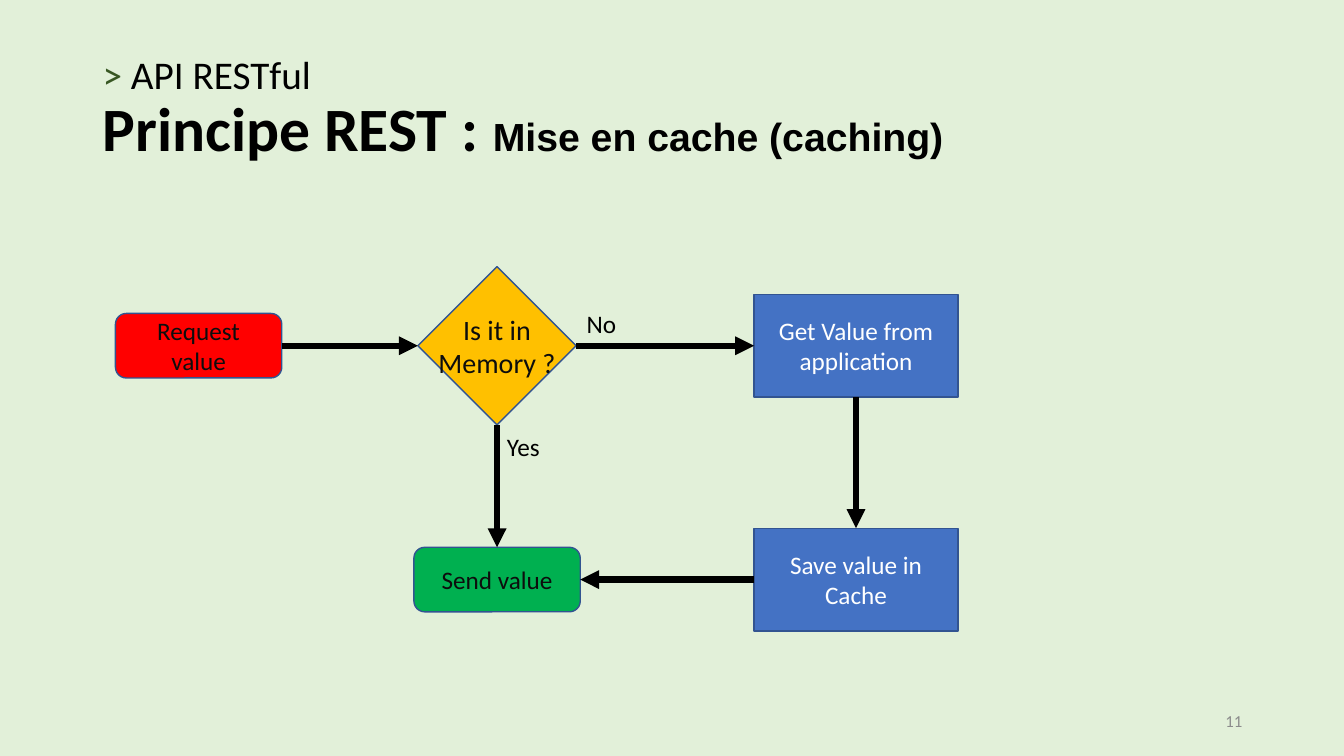
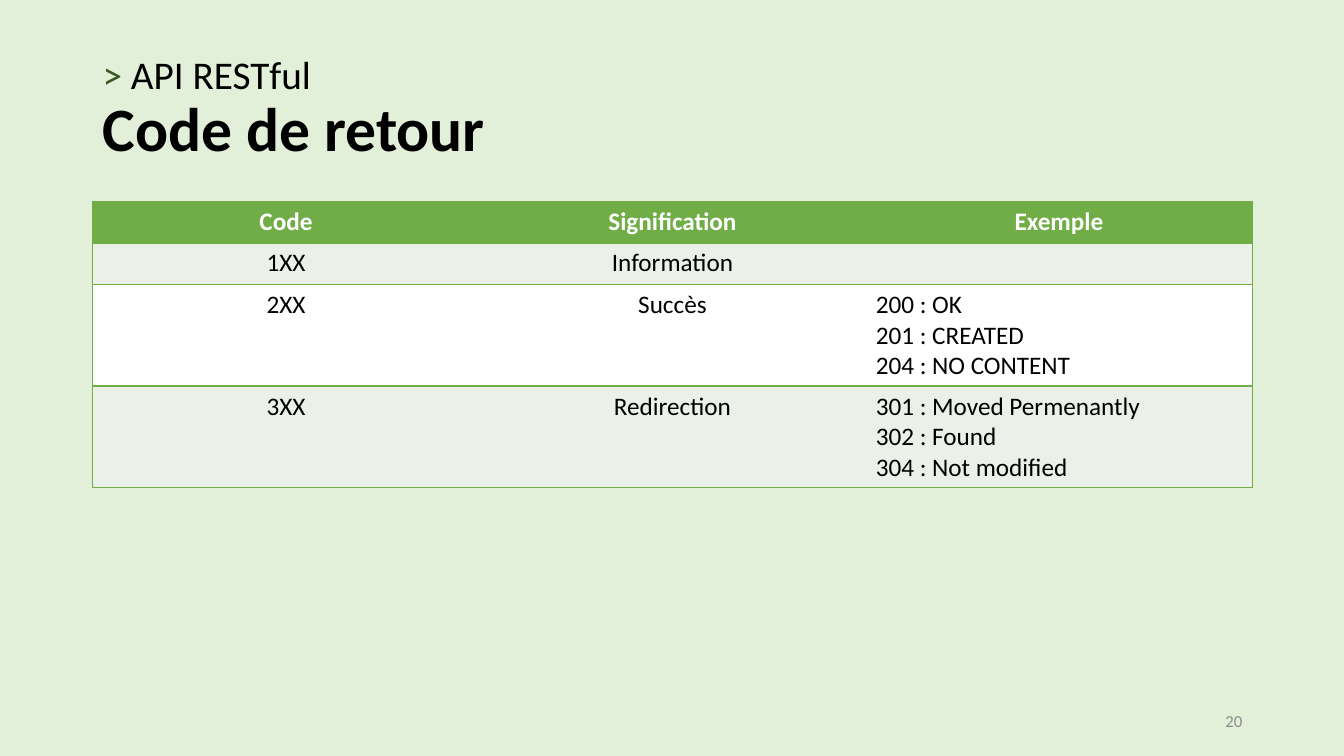
from dataclasses import dataclass

from lxml import etree
from pptx import Presentation
from pptx.dml.color import RGBColor
from pptx.enum.shapes import MSO_CONNECTOR, MSO_SHAPE
from pptx.enum.text import MSO_ANCHOR, PP_ALIGN
from pptx.oxml.ns import qn
from pptx.util import Inches, Pt

RECT = MSO_SHAPE.RECTANGLE
ROUNDED = MSO_SHAPE.ROUNDED_RECTANGLE
DIAMOND = MSO_SHAPE.DIAMOND
STRAIGHT = MSO_CONNECTOR.STRAIGHT
LEFT, CENTER, RIGHT = PP_ALIGN.LEFT, PP_ALIGN.CENTER, PP_ALIGN.RIGHT
TOP, MIDDLE = MSO_ANCHOR.TOP, MSO_ANCHOR.MIDDLE
TOP_SITE, LEFT_SITE, BOTTOM_SITE, RIGHT_SITE = range(4)
PLAIN_TABLE_STYLE = "{2D5ABB26-0587-4C30-8999-92F81FD0307C}"


@dataclass(frozen=True)
class Theme:
    font: str = "Calibri"
    subtitle_font: str = "Arial"
    background: RGBColor = RGBColor(0xE2, 0xF0, 0xD9)
    black: RGBColor = RGBColor(0x00, 0x00, 0x00)
    white: RGBColor = RGBColor(0xFF, 0xFF, 0xFF)
    dark_text: RGBColor = RGBColor(0x0D, 0x0D, 0x0D)
    chevron: RGBColor = RGBColor(0x38, 0x57, 0x23)
    muted: RGBColor = RGBColor(0x8C, 0x8C, 0x8C)
    outline: RGBColor = RGBColor(0x32, 0x54, 0x91)
    red: RGBColor = RGBColor(0xFF, 0x00, 0x00)
    amber: RGBColor = RGBColor(0xFF, 0xC0, 0x00)
    green: RGBColor = RGBColor(0x00, 0xB0, 0x50)
    blue: RGBColor = RGBColor(0x44, 0x72, 0xC4)
    table_green: RGBColor = RGBColor(0x70, 0xAD, 0x47)
    table_band: RGBColor = RGBColor(0xEB, 0xF1, 0xE9)
    title_size: int = 44
    kicker_size: int = 28
    decision_size: int = 20
    body_size: int = 18
    footer_size: int = 12


theme = Theme()


def style(font, size, color, bold=False, name=theme.font):
    font.name = name
    font.size = Pt(size)
    font.bold = bold
    font.color.rgb = color


def write(frame, lines, size, color, align=LEFT, anchor=TOP, bold=False):
    frame.word_wrap = True
    frame.vertical_anchor = anchor
    frame.text = "\n".join(lines)
    for para in frame.paragraphs:
        para.alignment = align
        style(para.font, size, color, bold)


deck = Presentation()
deck.slide_width = Inches(13.33)
deck.slide_height = Inches(7.5)

headings = [
    ("11", "Principe REST : ", "Mise en cache (caching)"),
    ("20", "Code de retour", ""),
]
pages = []
for number, heading, subtitle in headings:
    page = deck.slides.add_slide(deck.slide_layouts[6])
    page.background.fill.solid()
    page.background.fill.fore_color.rgb = theme.background

    title = page.shapes.add_textbox(Inches(0.92), Inches(0.37), Inches(11.5), Inches(1.45))
    title.text_frame.word_wrap = True
    title.text_frame.vertical_anchor = MIDDLE
    para = title.text_frame.paragraphs[0]
    para.line_spacing = 0.9
    title_spans = [
        (">", theme.kicker_size, theme.chevron, False, theme.font),
        (" API RESTful", theme.kicker_size, theme.black, False, theme.font),
        (heading, theme.title_size, theme.black, True, theme.font),
        (subtitle, theme.kicker_size, theme.black, True, theme.subtitle_font),
    ]
    for text, size, color, bold, font_name in title_spans:
        if text == heading:
            para.add_line_break()
        if text:
            span = para.add_run()
            span.text = text
            style(span.font, size, color, bold, font_name)

    footer = page.shapes.add_textbox(Inches(9.42), Inches(6.95), Inches(3), Inches(0.4))
    write(footer.text_frame, [number], theme.footer_size, theme.muted, RIGHT, MIDDLE)
    pages.append(page)

flow_page, table_page = pages

request_x, decision_x, action_x = 1.97, 4.93, 8.49
upper_y, lower_y = 3.43, 5.75
terminal_size, decision_box, action_size = (1.65, 0.64), (1.57, 1.57), (2.02, 1.02)
nodes = [
    ("request", ROUNDED, request_x, upper_y, terminal_size, theme.red, ["Request value"]),
    ("decision", DIAMOND, decision_x, upper_y, decision_box, theme.amber, ["Is it in", "Memory ?"]),
    ("send", ROUNDED, decision_x, lower_y, terminal_size, theme.green, ["Send value"]),
    ("get", RECT, action_x, upper_y, action_size, theme.blue, ["Get Value from application"]),
    ("save", RECT, action_x, lower_y, action_size, theme.blue, ["Save value in Cache"]),
]
boxes = {}
for key, kind, center_x, center_y, (width, height), fill, lines in nodes:
    left, top = center_x - width / 2, center_y - height / 2
    box = flow_page.shapes.add_shape(kind, Inches(left), Inches(top), Inches(width), Inches(height))
    box.shadow.inherit = False
    box.fill.solid()
    box.fill.fore_color.rgb = fill
    box.line.color.rgb = theme.outline
    box.line.width = Pt(1)
    size = theme.decision_size if kind == DIAMOND else theme.body_size
    color = theme.white if kind == RECT else theme.dark_text
    write(box.text_frame, lines, size, color, CENTER, MIDDLE)
    box.text_frame.word_wrap = kind != DIAMOND
    boxes[key] = box

arrows = [
    ("request", RIGHT_SITE, "decision", LEFT_SITE),
    ("decision", RIGHT_SITE, "get", LEFT_SITE),
    ("decision", BOTTOM_SITE, "send", TOP_SITE),
    ("get", BOTTOM_SITE, "save", TOP_SITE),
    ("save", LEFT_SITE, "send", RIGHT_SITE),
]
for start, start_site, end, end_site in arrows:
    arrow = flow_page.shapes.add_connector(STRAIGHT, 0, 0, 0, 0)
    arrow.begin_connect(boxes[start], start_site)
    arrow.end_connect(boxes[end], end_site)
    arrow.line.color.rgb = theme.black
    arrow.line.width = Pt(4.5)
    properties = arrow.element.spPr
    etree.SubElement(properties.find(qn("a:ln")), qn("a:tailEnd"), type="triangle")
    etree.SubElement(properties, qn("a:effectLst"))

for text, left, top in [("Yes", 4.93, 4.23), ("No", 5.72, 3.01)]:
    label = flow_page.shapes.add_textbox(Inches(left), Inches(top), Inches(0.85), Inches(0.4))
    write(label.text_frame, [text], theme.body_size, theme.black)

rows = [
    (0.41, theme.table_green, (["Code"], ["Signification"], ["Exemple"])),
    (0.41, theme.table_band, (["1XX"], ["Information"], [])),
    (1.01, theme.white, (["2XX"], ["Succès"], ["200 : OK", "201 : CREATED", "204 : NO CONTENT"])),
    (
        1.01,
        theme.table_band,
        (["3XX"], ["Redirection"], ["301 : Moved Permenantly", "302 : Found", "304 : Not modified"]),
    ),
]
column_sides = [
    ("a:lnL", "a:lnT", "a:lnB"),
    ("a:lnT", "a:lnB"),
    ("a:lnR", "a:lnT", "a:lnB"),
]
column_aligns = [CENTER, CENTER, LEFT]
table_height = sum(height for height, fill, texts in rows)
table_frame = table_page.shapes.add_table(
    len(rows), len(column_sides), Inches(0.92), Inches(2), Inches(11.5), Inches(table_height)
)
table_frame.element.find(".//" + qn("a:tableStyleId")).text = PLAIN_TABLE_STYLE
table = table_frame.table
for row_index, (height, fill, texts) in enumerate(rows):
    table.rows[row_index].height = Inches(height)
    header = row_index == 0
    color = theme.white if header else theme.black
    for cell, lines, align, sides in zip(table.rows[row_index].cells, texts, column_aligns, column_sides):
        align = CENTER if header else align
        write(cell.text_frame, lines, theme.body_size, color, align, bold=header)
        properties = cell._tc.get_or_add_tcPr()
        for side in sides:
            border = etree.SubElement(properties, qn(side), w=str(Pt(1)))
            border_fill = etree.SubElement(border, qn("a:solidFill"))
            etree.SubElement(border_fill, qn("a:srgbClr"), val=str(theme.table_green))
        cell.fill.solid()
        cell.fill.fore_color.rgb = fill

deck.save("out.pptx")
